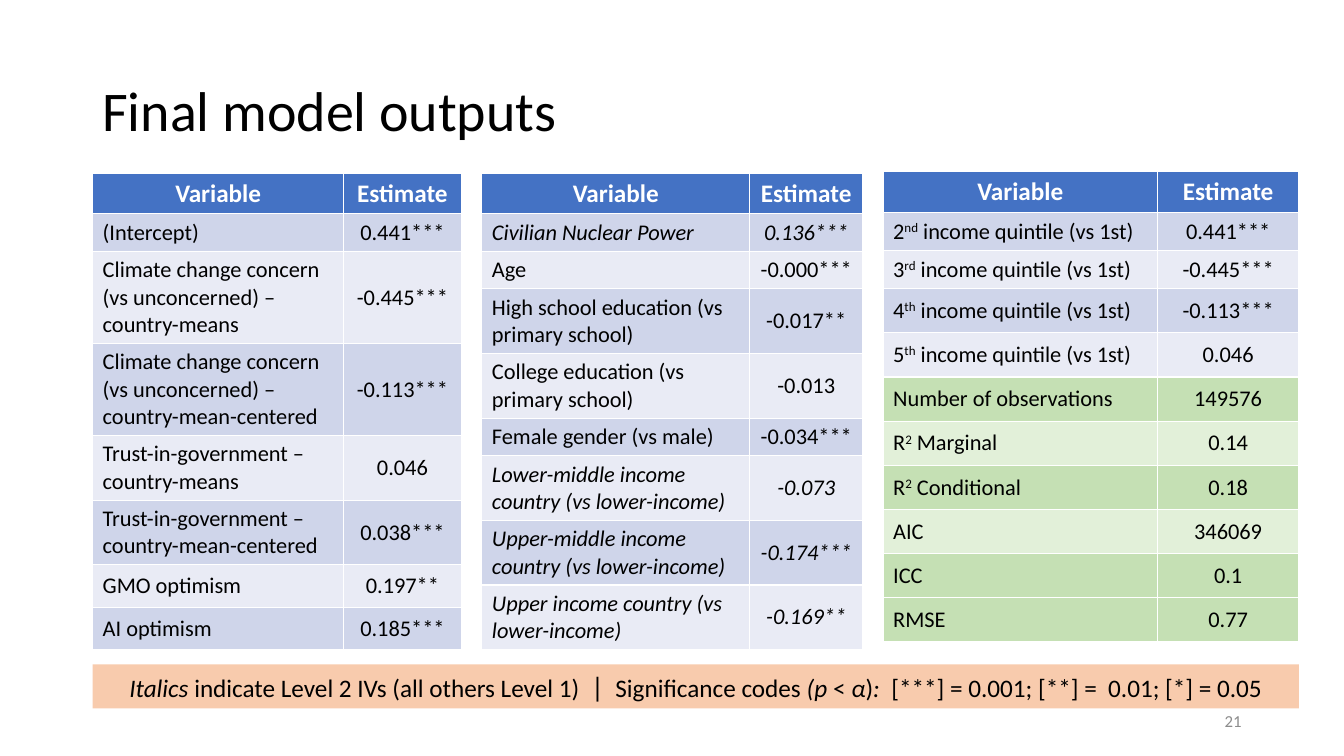
from pptx import Presentation
from pptx.dml.color import RGBColor
from pptx.enum.shapes import MSO_SHAPE
from pptx.enum.text import MSO_ANCHOR, PP_ALIGN
from pptx.util import Pt

LEFT, CENTER, RIGHT = PP_ALIGN.LEFT, PP_ALIGN.CENTER, PP_ALIGN.RIGHT
MIDDLE = MSO_ANCHOR.MIDDLE
RECTANGLE = MSO_SHAPE.RECTANGLE

FONT = "Calibri"
BLACK = RGBColor(0x00, 0x00, 0x00)
WHITE = RGBColor(0xFF, 0xFF, 0xFF)
GRAY = RGBColor(0x8C, 0x8C, 0x8C)
HEADER_BLUE = RGBColor(0x44, 0x72, 0xC4)
BLUE_BANDS = (RGBColor(0xCF, 0xD5, 0xEA), RGBColor(0xE9, 0xEB, 0xF5))
GREEN_BANDS = (RGBColor(0xC5, 0xE0, 0xB4), RGBColor(0xE2, 0xF0, 0xD9))
PEACH = RGBColor(0xF8, 0xCB, 0xAD)

# Content: ^ marks enclose superscripts
TITLE = "Final model outputs"
PAGE_NUMBER = "21"
HEADER = ("Variable", "Estimate")

CONCERN_ROWS = [
    ("(Intercept)", "0.441***"),
    ("Climate change concern (vs unconcerned) – country-means", "-0.445***"),
    ("Climate change concern (vs unconcerned) – country-mean-centered", "-0.113***"),
    ("Trust-in-government – country-means", "0.046"),
    ("Trust-in-government – country-mean-centered", "0.038***"),
    ("GMO optimism", "0.197**"),
    ("AI optimism", "0.185***"),
]
DEMOGRAPHIC_ROWS = [
    ("Civilian Nuclear Power", "0.136***"),
    ("Age", "-0.000***"),
    ("High school education (vs primary school)", "-0.017**"),
    ("College education (vs primary school)", "-0.013"),
    ("Female gender (vs male)", "-0.034***"),
    ("Lower-middle income country (vs lower-income)", "-0.073"),
    ("Upper-middle income country (vs lower-income)", "-0.174***"),
    ("Upper income country (vs lower-income)", "-0.169**"),
]
INCOME_AND_FIT_ROWS = [
    ("2^nd^ income quintile (vs 1st)", "0.441***"),
    ("3^rd^ income quintile (vs 1st)", "-0.445***"),
    ("4^th^ income quintile (vs 1st)", "-0.113***"),
    ("5^th^ income quintile (vs 1st)", "0.046"),
    ("Number of observations", "149576"),
    ("R^2^ Marginal", "0.14"),
    ("R^2^ Conditional", "0.18"),
    ("AIC", "346069"),
    ("ICC", "0.1"),
    ("RMSE", "0.77"),
]
LEVEL_2_ROWS = {1, 6, 7, 8}  # italic rows of the demographic table

# Footer runs: text, italic, size
LEGEND = [
    ("Italics", True, 18),
    (" indicate Level 2 IVs (all others Level 1)  ", False, 18),
    ("|", False, 20),
    ("  Significance codes ", False, 18),
    ("(p ", True, 18),
    ("< ", False, 18),
    ("α", True, 18),
    (")", False, 18),
    (":", True, 18),
    ("  [***] = 0.001; [**] =  0.01; [*] = 0.05", False, 18),
]

# Tables: rows, left, top, column widths, row heights, italic rows, first green row
ONE_LINE, TWO_LINES, THREE_LINES = 26.8, 46.2, 65.8
TABLES = [
    (CONCERN_ROWS, 66.2, 123.9, (179.4, 83.8),
     [28, ONE_LINE] + [THREE_LINES] * 2 + [TWO_LINES] * 2 + [30.4] * 2, set(), None),
    (DEMOGRAPHIC_ROWS, 344.2, 123.9, (191.4, 80.6),
     [28] + [ONE_LINE] * 2 + [TWO_LINES] * 2 + [ONE_LINE] + [TWO_LINES] * 3,
     LEVEL_2_ROWS, None),
    (INCOME_AND_FIT_ROWS, 630.8, 122.4, (196.2, 100.6),
     [29.4] + [27.2] * 2 + [31.55] * 8, set(), 5),
]


def write(frame, text, size=16, color=BLACK, bold=False, italic=False, align=LEFT):
    """Append text to the first paragraph; parts between ^ are superscript."""
    paragraph = frame.paragraphs[0]
    paragraph.alignment = align
    for index, part in enumerate(text.split("^")):
        run = paragraph.add_run()
        run.text = part
        font = run.font
        font.name, font.size, font.bold, font.italic = FONT, Pt(size), bold, italic
        font.color.rgb = color
        if index % 2:
            run._r.get_or_add_rPr().set("baseline", "30000")
    return paragraph


def add_text_box(slide, text, left, top, width, height, **text_format):
    frame = slide.shapes.add_textbox(Pt(left), Pt(top), Pt(width), Pt(height)).text_frame
    frame.word_wrap = True
    frame.vertical_anchor = MIDDLE
    return write(frame, text, **text_format)


def fill_cell(cell, text, background, **text_format):
    cell.fill.solid()
    cell.fill.fore_color.rgb = background
    cell.vertical_anchor = MIDDLE
    write(cell.text_frame, text, **text_format)


def band_color(row, row_count, first_green):
    if first_green is None or row < first_green:
        return BLUE_BANDS[(row - 1) % 2]
    if row == row_count:
        return GREEN_BANDS[0]
    return GREEN_BANDS[(row - first_green) % 2]


def add_estimates(slide, rows, left, top, widths, heights, italic_rows, first_green):
    table = slide.shapes.add_table(len(rows) + 1, 2, Pt(left), Pt(top),
                                   Pt(sum(widths)), Pt(sum(heights))).table
    for column, width in zip(table.columns, widths):
        column.width = Pt(width)
    for table_row, height in zip(table.rows, heights):
        table_row.height = Pt(height)
    for column, text in enumerate(HEADER):
        fill_cell(table.cell(0, column), text, HEADER_BLUE,
                  size=18, color=WHITE, bold=True, align=CENTER)
    for row, values in enumerate(rows, start=1):
        background = band_color(row, len(rows), first_green)
        for column, text in enumerate(values):
            fill_cell(table.cell(row, column), text, background,
                      italic=row in italic_rows, align=(LEFT, CENTER)[column])


def add_legend(slide):
    shape = slide.shapes.add_shape(RECTANGLE, Pt(66.2), Pt(474.5), Pt(861.6), Pt(31.5))
    shape.shadow.inherit = False
    shape.fill.solid()
    shape.fill.fore_color.rgb = PEACH
    shape.line.fill.background()
    frame = shape.text_frame
    frame.word_wrap = True
    frame.vertical_anchor = MIDDLE
    for text, italic, size in LEGEND:
        write(frame, text, size=size, italic=italic, align=CENTER)


def main():
    presentation = Presentation()
    presentation.slide_width, presentation.slide_height = Pt(960), Pt(540)
    slide = presentation.slides.add_slide(presentation.slide_layouts[6])

    # Title and page number
    title = add_text_box(slide, TITLE, 66, 28.8, 828, 104.4, size=40)
    title.line_spacing = 0.9
    add_text_box(slide, PAGE_NUMBER, 678, 500.5, 216, 28.8,
                 size=12, color=GRAY, align=RIGHT)

    # Model estimates and their legend
    for table in TABLES:
        add_estimates(slide, *table)
    add_legend(slide)
    presentation.save("out.pptx")


if __name__ == "__main__":
    main()
